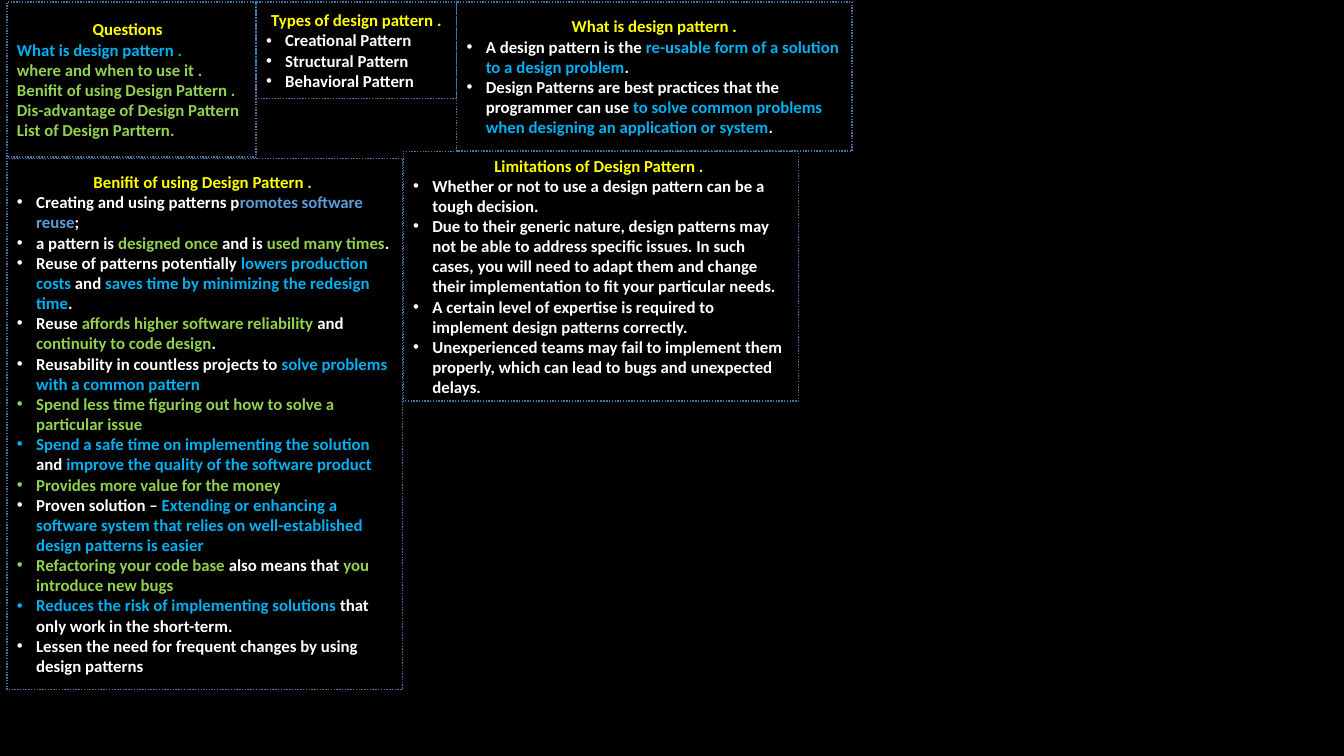
"""Build a one-slide overview of design patterns."""
from dataclasses import dataclass
from typing import NamedTuple

from lxml import etree
from pptx import Presentation
from pptx import util as u
from pptx.dml.color import RGBColor
from pptx.enum import dml, shapes, text
from pptx.oxml import ns


@dataclass(frozen=True)
class Theme:
    """Colours and type of the slide."""
    background: RGBColor = RGBColor(0x00, 0x00, 0x00)
    border: RGBColor = RGBColor(0x43, 0x73, 0x9E)
    heading: RGBColor = RGBColor(0xFF, 0xFF, 0x00)
    white: RGBColor = RGBColor(0xFF, 0xFF, 0xFF)
    blue: RGBColor = RGBColor(0x00, 0xB0, 0xF0)
    green: RGBColor = RGBColor(0x92, 0xD0, 0x50)
    steel: RGBColor = RGBColor(0x5B, 0x9B, 0xD5)
    font: str = "Calibri"
    size: u.Pt = u.Pt(12)
    border_width: u.Pt = u.Pt(1)


THEME = Theme()
BULLET_INDENT = u.Inches(0.19)


class Span(NamedTuple):
    """A stretch of text in one colour."""
    words: str
    color: RGBColor = THEME.white


class Panel(NamedTuple):
    """A dotted box with a heading and lines of text."""
    left: float
    top: float
    width: float
    height: float
    heading: str
    lines: list[list[Span]]
    bulleted: bool = True


def blue(words: str) -> Span:
    """Return a blue span."""
    return Span(words, THEME.blue)


def green(words: str) -> Span:
    """Return a green span."""
    return Span(words, THEME.green)


QUESTIONS = [
    [blue("What is design pattern .")],
    [green("where and when to use it .")],
    [green("Benifit of using Design Pattern .")],
    [green("Dis-advantage of Design Pattern")],
    [green("List of Design Parttern.")],
]
DEFINITION = [
    [Span("A design pattern is the"),
     blue(" re-usable form of a solution to a design problem"), Span(".")],
    [Span("Design Patterns are best practices that the programmer can use"),
     blue(" to solve common problems when designing an application or system"),
     Span(".")],
]
TYPES = [[Span(f"{kind} Pattern")] for kind in ("Creational", "Structural", "Behavioral")]
BENEFITS = [
    [Span("Creating and using patterns p"),
     Span("romotes software reuse", THEME.steel), Span("; ")],
    [Span("a pattern is"), green(" designed once"), Span(" and is "),
     green("used many times"), Span(". ")],
    [Span("Reuse of patterns potentially "), blue("lowers production costs "),
     Span("and "), blue("saves time by minimizing the redesign time"), Span(". ")],
    [Span("Reuse "), green("affords higher software reliability"), Span(" and "),
     green("continuity to code design"), Span(".")],
    [Span("Reusability in countless projects to"),
     blue(" solve problems with a common pattern")],
    [green("Spend less time figuring out how to solve a particular issue")],
    [blue("Spend a safe time on implementing the solution "), Span("and "),
     blue("improve the quality of the software product")],
    [green("Provides more value for the money")],
    [Span("Proven solution –"),
     blue(" Extending or enhancing a software system that relies on "
          "well-established design patterns is easier")],
    [green("Refactoring your code base "), Span("also means that "),
     green("you introduce new bugs")],
    [blue("Reduces the risk of implementing solutions"),
     Span(" that only work in the short-term.")],
    [Span("Lessen the need for frequent changes by using design patterns")],
]
LIMITATIONS = [
    [Span("Whether or not to use a design pattern can be a tough decision.")],
    [Span("Due to their generic nature, design patterns may not be able to address "
          "specific issues. In such cases, you will need to adapt them and change "
          "their implementation to fit your particular needs.")],
    [Span("A certain level of expertise is required to implement design patterns "
          "correctly.")],
    [Span("Unexperienced teams may fail to implement them properly, which can lead "
          "to bugs and unexpected delays.")],
]
PANELS = [
    Panel(0.07, 0.02, 2.47, 1.54, "Questions  ", QUESTIONS, bulleted=False),
    Panel(4.53, 0.02, 3.92, 1.48, "What is design pattern .", DEFINITION),
    Panel(2.54, 0.02, 1.99, 0.96, "Types of design pattern .", TYPES),
    Panel(0.07, 1.57, 3.92, 5.27, "Benifit of using Design Pattern . ", BENEFITS),
    Panel(4, 1.5, 3.92, 2.48, "Limitations of Design Pattern . ", LIMITATIONS),
]


def add_spans(paragraph, spans: list[Span]) -> None:
    """Write coloured bold spans into a paragraph."""
    for span in spans:
        run = paragraph.add_run()
        run.text = span.words
        run.font.name = THEME.font
        run.font.size = THEME.size
        run.font.bold = True
        run.font.color.rgb = span.color


def add_bullet(paragraph) -> None:
    """Give a paragraph a hanging round bullet."""
    properties = paragraph._p.get_or_add_pPr()
    properties.set("marL", str(BULLET_INDENT))
    properties.set("indent", str(-BULLET_INDENT))
    etree.SubElement(properties, ns.qn("a:buFont")).set("typeface", "Arial")
    etree.SubElement(properties, ns.qn("a:buChar")).set("char", "•")


def add_panel(slide, panel: Panel) -> None:
    """Draw one panel with its heading and lines."""
    shape = slide.shapes.add_shape(
        shapes.MSO_SHAPE.RECTANGLE, u.Inches(panel.left), u.Inches(panel.top),
        u.Inches(panel.width), u.Inches(panel.height))
    shape.shadow.inherit = False
    shape.fill.background()
    shape.line.color.rgb = THEME.border
    shape.line.width = THEME.border_width
    shape.line.dash_style = dml.MSO_LINE.ROUND_DOT

    frame = shape.text_frame
    frame.word_wrap = True
    frame.vertical_anchor = text.MSO_ANCHOR.MIDDLE
    heading = frame.paragraphs[0]
    heading.alignment = text.PP_ALIGN.CENTER
    add_spans(heading, [Span(panel.heading, THEME.heading)])
    for line in panel.lines:
        paragraph = frame.add_paragraph()
        paragraph.alignment = text.PP_ALIGN.LEFT
        if panel.bulleted:
            add_bullet(paragraph)
        add_spans(paragraph, line)


def main() -> None:
    """Build and save the presentation."""
    presentation = Presentation()
    presentation.slide_width = u.Inches(13.33)
    presentation.slide_height = u.Inches(7.5)
    slide = presentation.slides.add_slide(presentation.slide_layouts[6])
    slide.background.fill.solid()
    slide.background.fill.fore_color.rgb = THEME.background
    for panel in PANELS:
        add_panel(slide, panel)
    presentation.save("out.pptx")


main()
